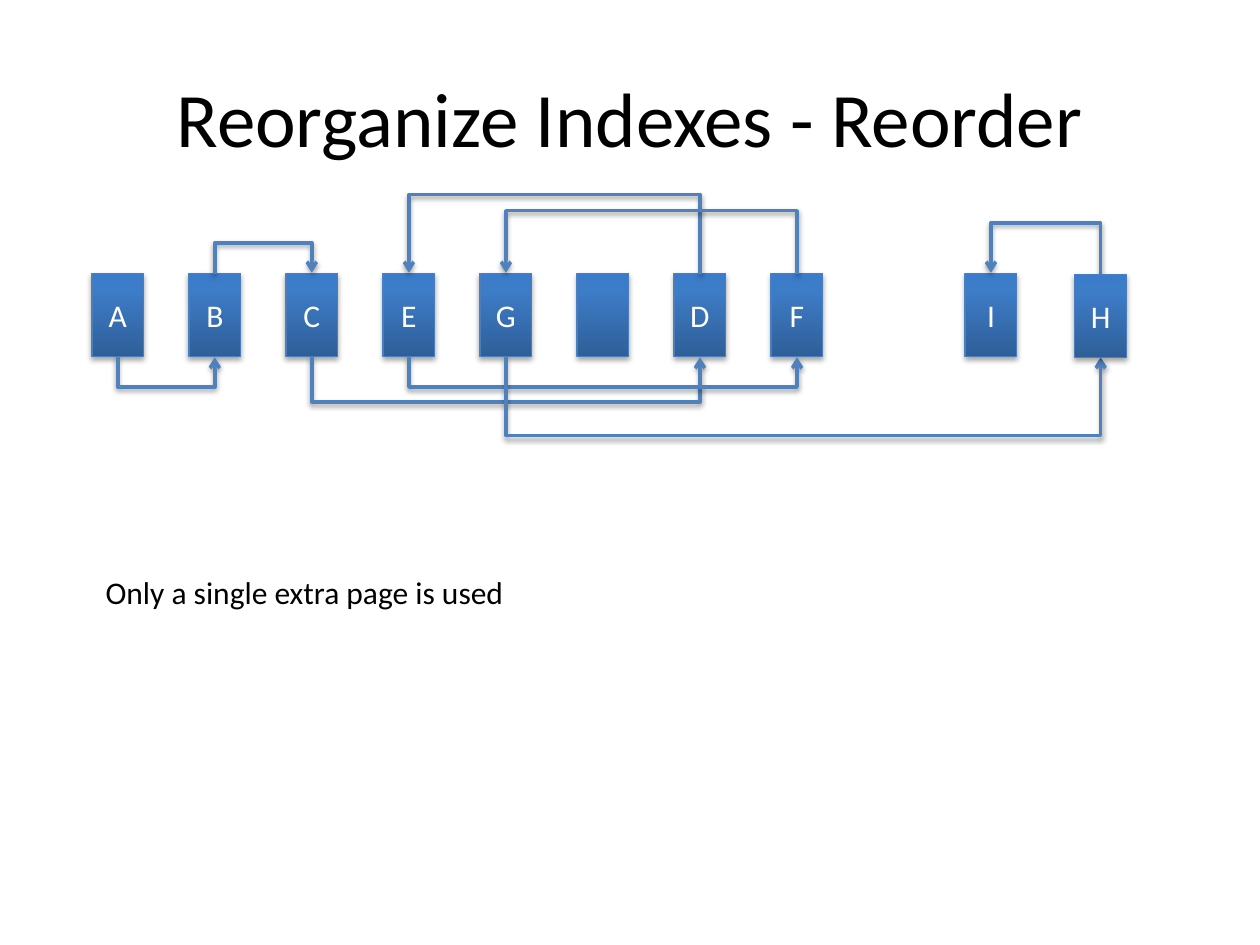
from dataclasses import dataclass
from lxml.etree import SubElement as Sub
from pptx import Presentation
from pptx.dml.color import RGBColor as Rgb
from pptx.enum.shapes import MSO_CONNECTOR as Conn, MSO_SHAPE as Shape
from pptx.enum.text import MSO_ANCHOR as Anchor, PP_ALIGN as Align
from pptx.oxml.ns import qn
from pptx.util import Inches, Pt


@dataclass(frozen=True)
class Theme:
    font: str = "Calibri"
    black: str = "000000"
    white: str = "FFFFFF"
    edge: str = "4B7EBC"
    link: str = "4F81BD"
    grad: tuple = ((0, "2F5F99"), (80, "3D7CC7"), (100, "3A7CCB"))
    head: int = 44
    body: int = 18


def node(up, tag, **attrs):
    return Sub(up, qn(tag), {key: str(val) for key, val in attrs.items()})


class Page:
    def __init__(self, slide, theme):
        self.shapes = slide.shapes
        self.theme = theme

    def label(self, frame, text, size, color, align):
        para = frame.paragraphs[0]
        para.alignment = align
        run = para.add_run()
        run.text = text
        run.font.name = self.theme.font
        run.font.size = Pt(size)
        run.font.color.rgb = Rgb.from_string(color)

    def stroke(self, line, color, width):
        line.color.rgb = Rgb.from_string(color)
        line.width = Pt(width)

    def shade(self, effects, alpha, dist):
        shadow = node(effects, "a:outerShdw", blurRad=Pt(3.1), dist=Pt(dist),
                      dir=5400000, rotWithShape=0)
        color = node(shadow, "a:srgbClr", val=self.theme.black)
        node(color, "a:alpha", val=alpha * 1000)

    def text(self, text, left, top, width, height, size,
             align=Align.LEFT, anchor=Anchor.TOP):
        box = self.shapes.add_textbox(
            Inches(left), Inches(top), Inches(width), Inches(height))
        frame = box.text_frame
        frame.word_wrap = True
        frame.vertical_anchor = anchor
        self.label(frame, text, size, self.theme.black, align)

    def leaf(self, text, left, top, width, height):
        box = self.shapes.add_shape(
            Shape.RECTANGLE, Inches(left), Inches(top),
            Inches(width), Inches(height))
        box.fill.gradient()
        fill = box.element.spPr.find(qn("a:gradFill"))
        for part in list(fill):
            fill.remove(part)
        stops = node(fill, "a:gsLst")
        for pos, color in self.theme.grad:
            stop = node(stops, "a:gs", pos=pos * 1000)
            node(stop, "a:srgbClr", val=color)
        node(fill, "a:lin", ang=16200000, scaled=0)
        self.stroke(box.line, self.theme.edge, 0.75)
        box.shadow.inherit = False
        self.shade(box.element.spPr.find(qn("a:effectLst")), 35, 1.8)
        if text:
            box.text_frame.vertical_anchor = Anchor.MIDDLE
            self.label(box.text_frame, text, self.theme.body,
                       self.theme.white, Align.CENTER)

    def link(self, start, end, edge, depth, below):
        thin, span = Inches(0.01), Inches(abs(end - start))
        line = self.shapes.add_connector(Conn.ELBOW, 0, 0, thin, span)
        line.left = Inches((start + end) / 2) - thin // 2
        line.top = Inches(edge) - span // 2
        right = end > start
        line.rotation = 90 if right and not below else 270
        props = line.element.spPr
        frame = props.find(qn("a:xfrm"))
        if right:
            frame.set("flipH", "1")
        if not below:
            frame.set("flipV", "1")
        guides = props.find(qn("a:prstGeom")).find(qn("a:avLst"))
        ratio = round(Inches(depth) / thin * 100000)
        node(guides, "a:gd", name="adj1", fmla=f"val {ratio}")
        self.stroke(line.line, self.theme.link, 2)
        node(props.find(qn("a:ln")), "a:tailEnd", type="arrow")
        self.shade(node(props, "a:effectLst"), 38, 1.6)


def main():
    deck = Presentation()
    deck.slide_width, deck.slide_height = Inches(10), Inches(7.5)
    theme = Theme()
    page = Page(deck.slides.add_slide(deck.slide_layouts[6]), theme)

    page.text("Reorganize Indexes - Reorder", 0.5, 0.3, 9, 1.25,
              theme.head, Align.CENTER, Anchor.MIDDLE)

    left, pitch, top, width, height = 0.73, 0.77, 2.17, 0.41, 0.66
    slots = {"A": 0, "B": 1, "C": 2, "E": 3, "G": 4, "": 5,
             "D": 6, "F": 7, "I": 9}
    spots = {name: left + pitch * slot for name, slot in slots.items()}
    for name, spot in spots.items():
        page.leaf(name, spot, top, width, height)
    spots["H"] = 8.53

    links = (
        ("A", "B", 0.25, True), ("B", "C", 0.25, False),
        ("C", "D", 0.37, True), ("D", "E", 0.64, False),
        ("E", "F", 0.25, True), ("F", "G", 0.51, False),
        ("G", "H", 0.64, True), ("H", "I", 0.41, False),
    )
    mid = width / 2
    for start, end, depth, below in links:
        edge = top + height if below else top
        page.link(spots[start] + mid, spots[end] + mid, edge, depth, below)
    page.leaf("H", spots["H"], top + 0.01, width, height)

    page.text("Only a single extra page is used", 0.74, 4.5, 3.84, 0.4,
              theme.body)
    deck.save("out.pptx")


if __name__ == "__main__":
    main()
